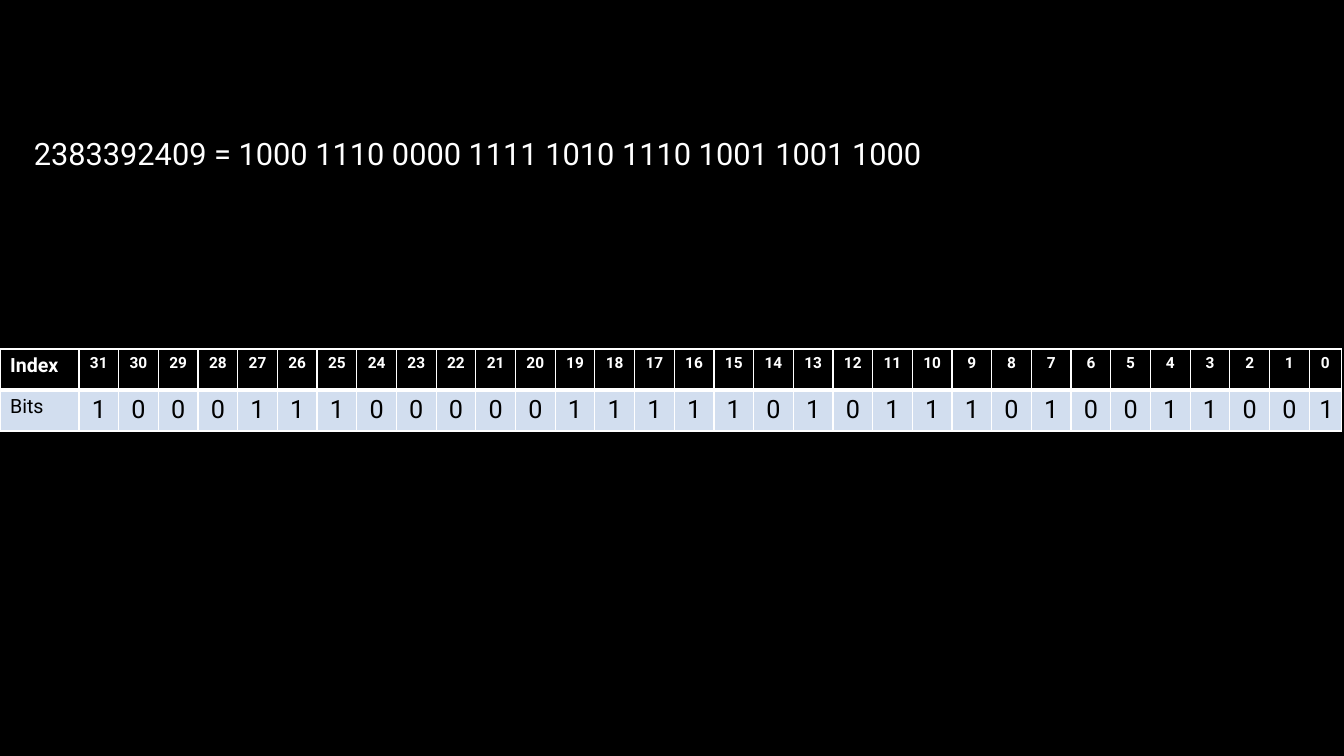
from lxml import etree
from pptx import Presentation, util as u
from pptx.dml.color import RGBColor
from pptx.enum import text
from pptx.oxml import ns

# Content
NUMBER = "2383392409 = 1000 1110 0000 1111 1010 1110 1001 1001 1000"
BITS = "10001110000011111010111010011001"
ROWS = [
    ["Index", *(str(i) for i in reversed(range(len(BITS))))],
    ["Bits", *BITS],
]
COLORS = {"black": "000000", "white": "FFFFFF", "pale": "D2DEEF"}
STYLES = [  # one per table row; size is that of the digits, bottom is a line width
    {"fill": "black", "ink": "white", "bold": True, "size": 11, "bottom": 3},
    {"fill": "pale", "ink": "black", "bold": False, "size": 18, "bottom": 1},
]
FONT, LABEL_SIZE, TITLE_SIZE = "Roboto", 14, 22

# Layout in px
SLIDE_W, SLIDE_H = 1344, 756
TITLE_BOX = (24, 40, 1228, 232)
TABLE_TOP, ROW_H = 349, 41
FIRST_BIT, LAST_BIT, TABLE_RIGHT = 79, 1310, 1342


def px(n):
    return u.Emu(round(n * 914400 / 100.8))


def rgb(name):
    return RGBColor.from_string(COLORS[name])


def style_run(r, size, color, bold=False):
    r.font.name, r.font.size, r.font.bold = FONT, u.Pt(size), bold
    r.font.color.rgb = rgb(color)


def add_borders(cell, bottom):
    tc_pr = cell._tc.get_or_add_tcPr()
    for side, width in zip("LRTB", (1, 1, 1, bottom)):
        ln = etree.SubElement(tc_pr, ns.qn("a:ln" + side), w=str(u.Pt(width)))
        fill = etree.SubElement(ln, ns.qn("a:solidFill"))
        etree.SubElement(fill, ns.qn("a:srgbClr"), val=COLORS["white"])


prs = Presentation()
prs.slide_width, prs.slide_height = px(SLIDE_W), px(SLIDE_H)
s = prs.slides.add_slide(prs.slide_layouts[6])
s.background.fill.solid()
s.background.fill.fore_color.rgb = rgb("black")

# Table of bit positions
steps = len(BITS) - 1
edges = [0, *(FIRST_BIT + (LAST_BIT - FIRST_BIT) * i / steps for i in range(steps + 1)),
         TABLE_RIGHT]
table = s.shapes.add_table(len(ROWS), len(ROWS[0]), 0, px(TABLE_TOP),
                           px(TABLE_RIGHT), px(ROW_H * len(ROWS))).table
table.first_row = table.horz_banding = False
for col, left, right in zip(table.columns, edges, edges[1:]):
    col.width = px(right - left)
for row, values, style in zip(table.rows, ROWS, STYLES):
    row.height = px(ROW_H)
    for i, (cell, value) in enumerate(zip(row.cells, values)):
        add_borders(cell, style["bottom"])
        cell.fill.solid()
        cell.fill.fore_color.rgb = rgb(style["fill"])
        cell.text_frame.text = value
        p = cell.text_frame.paragraphs[0]
        p.alignment = text.PP_ALIGN.CENTER if i else text.PP_ALIGN.LEFT
        style_run(p.runs[0], style["size"] if i else LABEL_SIZE, style["ink"], style["bold"])

# Number in binary
tf = s.shapes.add_textbox(*map(px, TITLE_BOX)).text_frame
tf.word_wrap = True
tf.vertical_anchor = text.MSO_ANCHOR.MIDDLE
tf.text = NUMBER
p = tf.paragraphs[0]
p.alignment, p.line_spacing = text.PP_ALIGN.LEFT, 0.9
style_run(p.runs[0], TITLE_SIZE, "white")

prs.save("out.pptx")
